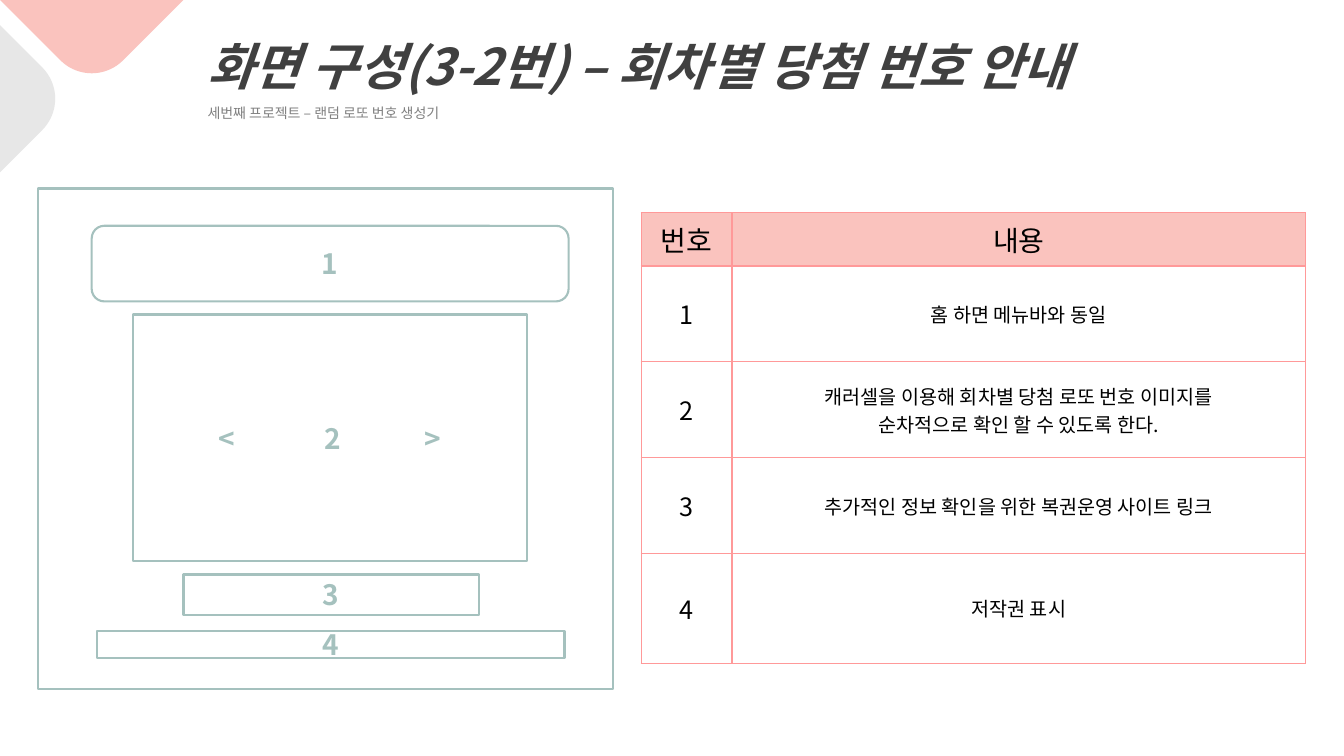
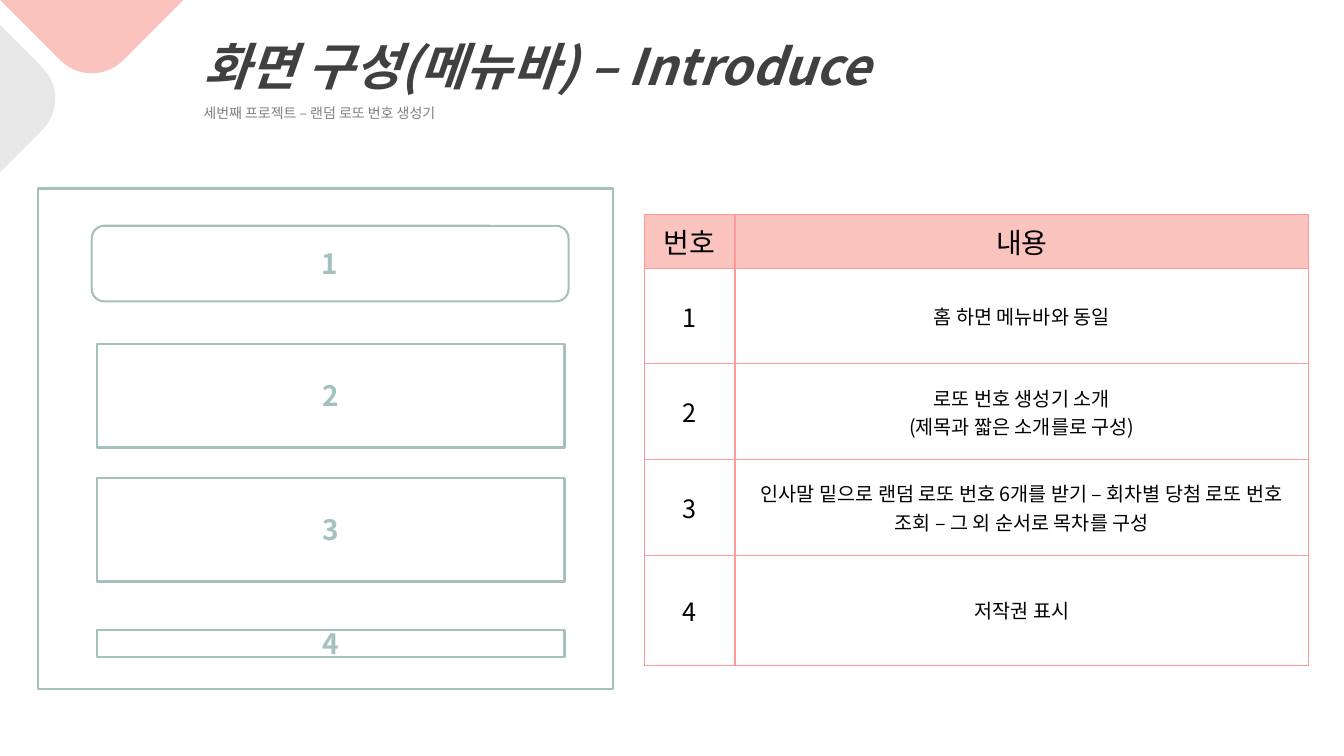
import math

from lxml import etree
from pptx import Presentation
from pptx.dml.color import RGBColor
from pptx.enum.shapes import MSO_SHAPE
from pptx.enum.text import MSO_ANCHOR, MSO_AUTO_SIZE, PP_ALIGN
from pptx.oxml.ns import qn
from pptx.util import Inches, Pt

RECT, ROUNDED = MSO_SHAPE.RECTANGLE, MSO_SHAPE.ROUNDED_RECTANGLE
MIDDLE, CENTER, LEFT = MSO_ANCHOR.MIDDLE, PP_ALIGN.CENTER, PP_ALIGN.LEFT
GROW = MSO_AUTO_SIZE.SHAPE_TO_FIT_TEXT

PINK = RGBColor(0xFA, 0xC3, 0xBE)
PALE_GREY = RGBColor(0xE7, 0xE7, 0xE7)
DARK = RGBColor(0x40, 0x40, 0x40)
GREY = RGBColor(0x80, 0x80, 0x80)
BLACK = RGBColor(0, 0, 0)
SAGE = RGBColor(0xA5, 0xC1, 0xBE)
ROSE = RGBColor(0xFF, 0x99, 0x99)

FONT = "Noto Sans CJK KR"
SUBTITLE = "세번째 프로젝트 – 랜덤 로또 번호 생성기"
HEADINGS = ("번호", "내용")
COLUMN_WIDTHS = (0.9, 5.69)
ROW_HEIGHTS = (0.53, 0.95, 0.95, 0.95, 1.09)
CORNER_RADIUS = 0.44


class WireframeDeck:
    """Holds the shared style and the slide being built."""

    def __init__(self):
        self.deck = Presentation()
        self.deck.slide_width, self.deck.slide_height = Inches(13.33), Inches(7.5)
        self.slide = None

    def start_slide(self, title, left, width):
        self.slide = self.deck.slides.add_slide(self.deck.slide_layouts[6])
        self.corner(PINK, 0.91, 0.91, on_top=True)
        self.corner(PALE_GREY, 0.98, 0.73, on_top=False)
        self.title(title, left, width)
        self.box(RECT, 0.38, 1.87, 5.7, 4.97)
        self.box(ROUNDED, 0.91, 2.24, 4.73, 0.75, "1")

    def corner(self, color, middle, half, on_top):
        depth = half - CORNER_RADIUS * math.sqrt(2)
        outline = [(middle - half, 0)]
        for degrees in range(-45, 46, 5):
            angle = math.radians(degrees)
            outline.append((middle + CORNER_RADIUS * math.sin(angle),
                            depth + CORNER_RADIUS * math.cos(angle)))
        outline.append((middle + half, 0))
        if not on_top:
            outline = [(y, x) for x, y in outline]
        points = [(Inches(x), Inches(y)) for x, y in outline]
        builder = self.slide.shapes.build_freeform(*points[0])
        builder.add_line_segments(points[1:], close=True)
        tab = builder.convert_to_shape()
        tab.shadow.inherit = False
        tab.fill.solid()
        tab.fill.fore_color.rgb = color
        tab.line.fill.background()

    def style(self, paragraph, size, color, bold=False, italic=False, align=CENTER):
        paragraph.alignment = align
        font = paragraph.font
        font.size, font.bold, font.italic = Pt(size), bold, italic
        font.color.rgb = color
        font.name = FONT
        defaults = paragraph._p.get_or_add_pPr().find(qn("a:defRPr"))
        etree.SubElement(defaults, qn("a:ea"), typeface=FONT)

    def title(self, text, left, width):
        heading = self.slide.shapes.add_textbox(
            Inches(left), 0, Inches(width), Inches(1.23))
        frame = heading.text_frame
        frame.word_wrap = True
        frame.auto_size = GROW
        frame.text = f"{text}\n{SUBTITLE}"
        main, sub = frame.paragraphs
        main.line_spacing = sub.line_spacing = 1.5
        self.style(main, 36, DARK, bold=True, italic=True, align=LEFT)
        self.style(sub, 10, GREY, align=LEFT)

    def box(self, kind, left, top, width, height, label="", stops=()):
        area = self.slide.shapes.add_shape(
            kind, Inches(left), Inches(top), Inches(width), Inches(height))
        area.shadow.inherit = False
        area.fill.background()
        area.line.color.rgb = SAGE
        area.line.width = Pt(1.5)
        if not label:
            return
        frame = area.text_frame
        frame.vertical_anchor = MIDDLE
        frame.text = label
        paragraph = frame.paragraphs[0]
        if stops:
            properties = paragraph._p.get_or_add_pPr()
            tabs = etree.SubElement(properties, qn("a:tabLst"))
            for stop in stops:
                etree.SubElement(tabs, qn("a:tab"), pos=str(Inches(stop)), algn="ctr")
        self.style(paragraph, 20, SAGE, bold=True, align=LEFT if stops else CENTER)

    def table(self, left, top, descriptions):
        rows = [HEADINGS] + [(str(n), d) for n, d in enumerate(descriptions, 1)]
        grid = self.slide.shapes.add_table(
            len(rows), len(HEADINGS), Inches(left), Inches(top),
            Inches(sum(COLUMN_WIDTHS)), Inches(sum(ROW_HEIGHTS))).table
        grid.first_row = grid.horz_banding = False
        for column, width in zip(grid.columns, COLUMN_WIDTHS):
            column.width = Inches(width)
        for r, (texts, height) in enumerate(zip(rows, ROW_HEIGHTS)):
            grid.rows[r].height = Inches(height)
            for c, text in enumerate(texts):
                size = 20 if r == 0 else (18, 14)[c]
                self.cell(grid.cell(r, c), text, size, header=r == 0)

    def cell(self, cell, text, size, header):
        cell.text = text
        cell.vertical_anchor = MIDDLE
        for paragraph in cell.text_frame.paragraphs:
            self.style(paragraph, size, BLACK)
        properties = cell._tc.get_or_add_tcPr()
        for side in ("lnL", "lnR", "lnT", "lnB"):
            border = etree.SubElement(properties, qn(f"a:{side}"), w=str(Pt(1)))
            fill = etree.SubElement(border, qn("a:solidFill"))
            etree.SubElement(fill, qn("a:srgbClr"), val=str(ROSE))
        if header:
            cell.fill.solid()
            cell.fill.fore_color.rgb = PINK
        else:
            cell.fill.background()


def main():
    deck = WireframeDeck()

    deck.start_slide("화면 구성(3-2번) – 회차별 당첨 번호 안내", 1.96, 9.79)
    deck.box(RECT, 1.32, 3.12, 3.91, 2.45, "\t<\t2\t>", stops=(0.83, 1.88, 2.87))
    deck.box(RECT, 1.82, 5.7, 2.93, 0.4, "3")
    deck.box(RECT, 0.96, 6.26, 4.64, 0.27, "4")
    deck.table(6.36, 2.11, (
        "홈 하면 메뉴바와 동일",
        "캐러셀을 이용해 회차별 당첨 로또 번호 이미지를\n순차적으로 확인 할 수 있도록 한다.",
        "추가적인 정보 확인을 위한 복권운영 사이트 링크",
        "저작권 표시",
    ))

    deck.start_slide("화면 구성(메뉴바) – Introduce", 1.92, 7.76)
    for label, top, height in (("2", 3.41, 1.03), ("3", 4.74, 1.03), ("4", 6.25, 0.27)):
        deck.box(RECT, 0.96, top, 4.64, height, label)
    deck.table(6.39, 2.13, (
        "홈 하면 메뉴바와 동일",
        "로또 번호 생성기 소개\n(제목과 짧은 소개를로 구성)",
        "인사말 밑으로 랜덤 로또 번호 6개를 받기 – 회차별 당첨 로또 번호 조회 – 그 외 순서로 목차를 구성",
        "저작권 표시",
    ))

    deck.deck.save("out.pptx")


if __name__ == "__main__":
    main()
